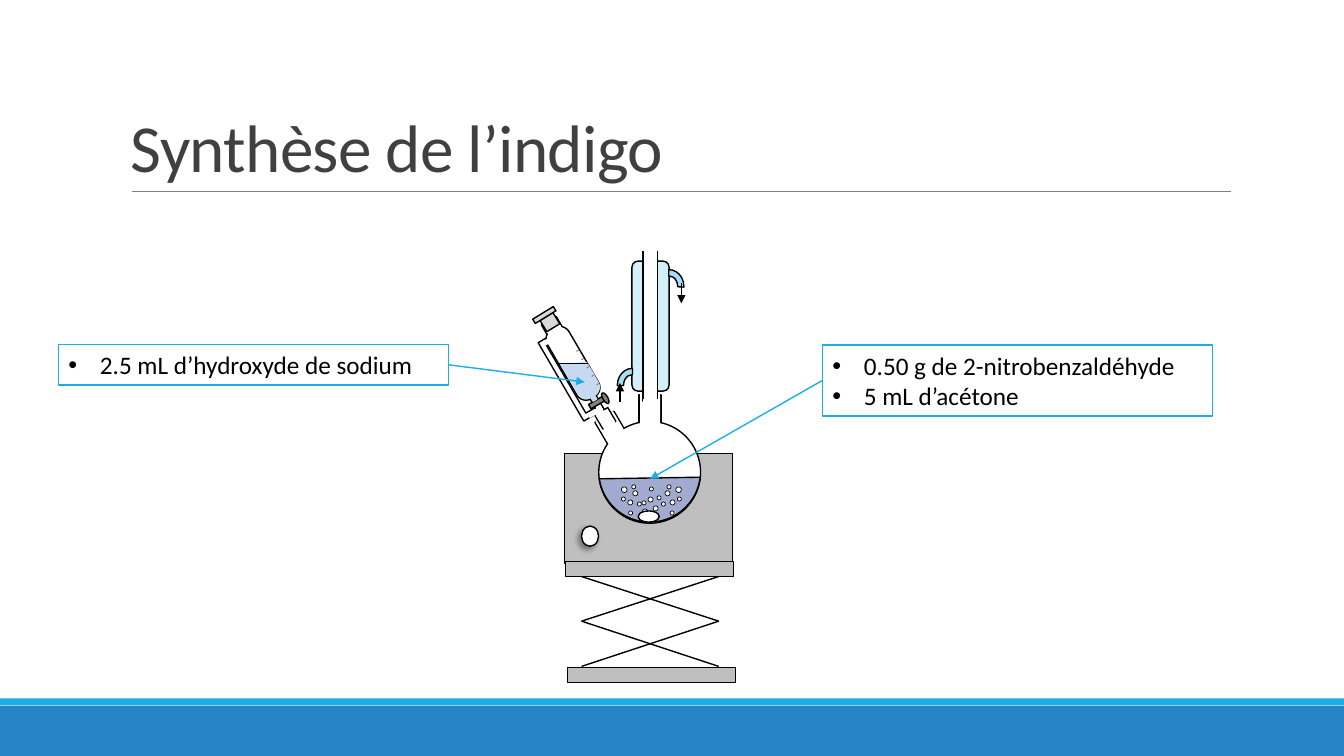
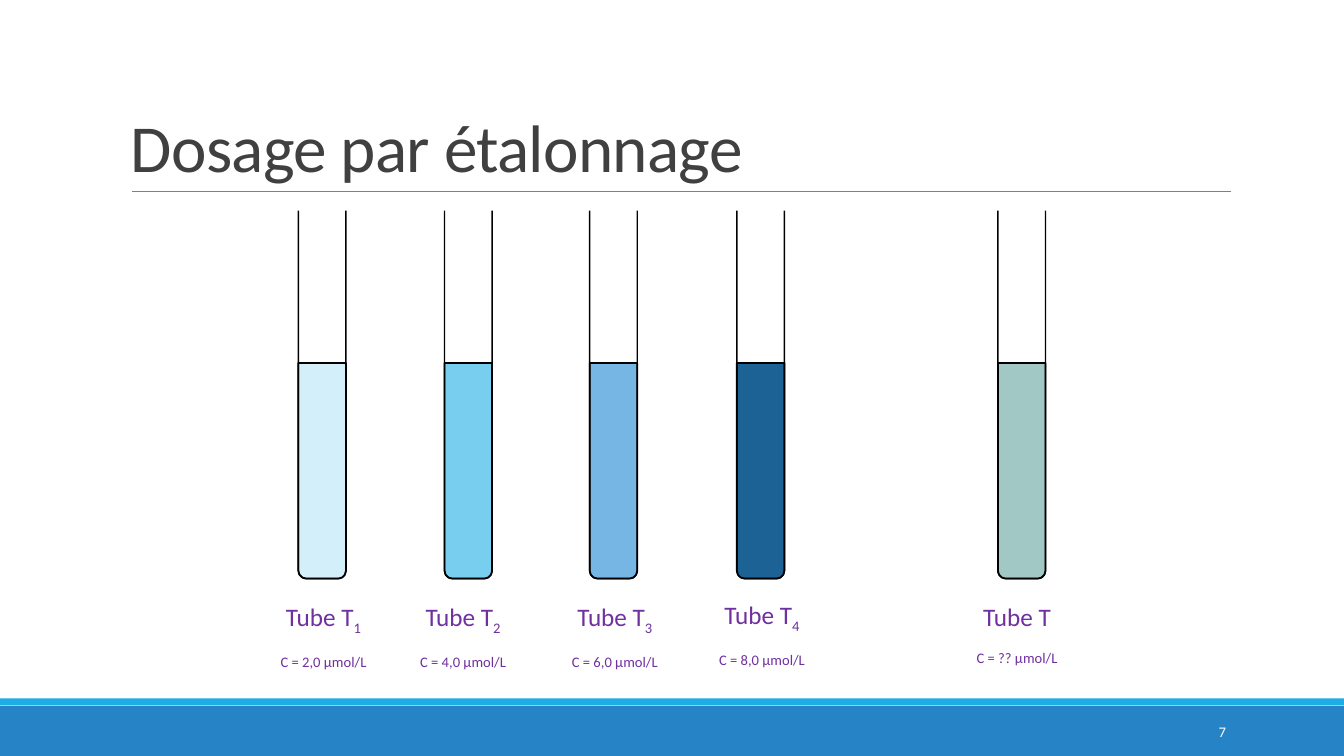
"""Build two chemistry slides: an indigo synthesis set-up and a calibration scale."""
from math import cos, radians, sin

from lxml import etree
from pptx import Presentation
from pptx.dml.color import RGBColor
from pptx.enum.shapes import MSO_CONNECTOR as MC, MSO_SHAPE as MS
from pptx.enum.text import MSO_ANCHOR as MA, PP_ALIGN as PA
from pptx.oxml.ns import qn
from pptx.util import Pt

FONT = "Calibri"
BLUE, CYAN, WHITE, BLACK = "2683C6", "1CADE4", "FFFFFF", "000000"
GREY, MID, LIGHT, TITLE, PURPLE = "808080", "BFBFBF", "D9D9D9", "404040", "7030A0"
WATER, SODA, JACKET, HOSE = "A1ABD0", "C6D9F1", "D2EFFA", "A4DEF4"
TILT, CAP_TILT, NECK_TILT, CROSS = 329.8, 328.5, 329.6, 59.8
RECT, OVAL, ROUND = MS.RECTANGLE, MS.OVAL, MS.ROUNDED_RECTANGLE

# kind, (left, top, width, height), rotation, fill, line width, adjustments
SUPPORT = [
    (RECT, (403.2, 324, 120.2, 78.5), 0, MID, 1, ()),
    (RECT, (403.9, 401, 120.2, 10.8), 0, MID, 1, ()),
    (RECT, (405.4, 476.6, 120.2, 10.8), 0, MID, 1, ()),
]
KNOB = (OVAL, (415.4, 375.8, 12.2, 14.4), 0, WHITE, 1, ())
JACK_X, JACK_Y = (415.4, 513.4), (411.8, 443.7, 476)
FLASK = [
    (RECT, (430.6, 295.9, 15.8, 26.6), NECK_TILT, WHITE, 1, ()),
    (RECT, (456.5, 282.2, 15.8, 26.6), 0, WHITE, 1, ()),
    (OVAL, (427.7, 301, 72.7, 72.7), 0, WHITE, 1, ()),
    (RECT, (432, 295.2, 14.4, 30.2), NECK_TILT, WHITE, 0, ()),
    (RECT, (457.2, 280.8, 14.4, 30.2), 0, WHITE, 0, ()),
    (MS.CHORD, (427.7, 300.2, 72.7, 72.7), 292.7, WATER, 1, (44.474, 143.216)),
]
AXIS = 465.3
PAIRED_BUBBLES = [(20, 355, 2.9), (15.1, 357.1, 3.6), (11.5, 350.6, 3.6), (19.4, 347.8, 4),
                  (12.6, 346.3, 2.9), (8.6, 358.6, 2.9), (14.8, 365, 2.9)]
CENTRE_BUBBLES = [(-5.3, 357.8, 2.9), (-0.6, 355, 3.6), (3, 361.4, 3.6), (-4.5, 363.6, 4),
                  (5.5, 354.2, 2.9), (0, 347.8, 2.9)]
STIRRER = (OVAL, (455.8, 365, 15.1, 7.9), 0, WHITE, 1, ())
FUNNEL = [
    (MS.FRAME, (399.6, 236.2, 16.6, 64.8), TILT, WHITE, 1, (0.25,)),
    (RECT, (388.8, 228.2, 12.2, 11.5), TILT, WHITE, 1, ()),
    (RECT, (424.1, 283, 5, 11.5), TILT, WHITE, 1, ()),
    (ROUND, (400.3, 231.1, 18, 56.9), TILT, WHITE, 1, (0.419,)),
    (RECT, (427, 293, 10.8, 11.5), TILT, WHITE, 1, ()),
    (RECT, (420.5, 285.8, 11.5, 3.6), TILT, GREY, 1, ()),
    (OVAL, (430.6, 280.1, 3.6, 8.6), TILT, GREY, 1, ()),
    (RECT, (425.5, 290.9, 6.5, 9.4), TILT, WHITE, 0, ()),
    (RECT, (431.3, 300.2, 9.4, 9.4), TILT, WHITE, 0, ()),
    (RECT, (419.8, 293, 9.4, 3.6), TILT, WHITE, 0, ()),
    (RECT, (388.1, 241.2, 9.4, 3.6), TILT, WHITE, 0, ()),
    (RECT, (388.8, 227.5, 10.8, 10.1), TILT, WHITE, 0, ()),
    (RECT, (417.6, 279.4, 9.4, 3.6), CROSS, WHITE, 0, ()),
    (ROUND, (409, 260.6, 17.3, 24.5), TILT, SODA, 0, (0.419,)),
    (RECT, (417.6, 280.1, 10.1, 3.6), CROSS, SODA, 0, ()),
    (MS.RIGHT_TRIANGLE, (401, 254.9, 17.3, 8.6), TILT, SODA, 0, ()),
    (RECT, (406.1, 262.1, 17.3, 11.5), TILT, SODA, 0, ()),
]
STOPPER = [
    (RECT, (387.4, 225.4, 10.8, 9.4), CAP_TILT, LIGHT, 1, ()),
    (RECT, (380.2, 223.2, 17.3, 3.6), CAP_TILT, LIGHT, 1, ()),
]
CONDENSER = [
    (ROUND, (451.4, 186.5, 26.6, 92.9), 0, JACKET, 1, ()),
    (RECT, (459.4, 178.6, 10.1, 108), 0, WHITE, 1, ()),
    (RECT, (457.9, 175.7, 13.7, 3.6), 0, WHITE, 0, ()),
    (RECT, (459.4, 285.1, 11.5, 5.8), 0, WHITE, 0, ()),
]
ARC = (108, 163.84, 0.207)
OUTLET = (MS.BLOCK_ARC, (465.8, 193.7, 23.8, 21.6), 90, HOSE, 1, ARC)
INLET = (MS.BLOCK_ARC, (439.9, 264.2, 23.8, 21.6), 270, HOSE, 1, ARC)
FLOWS = [((486.7, 202.3), (486.7, 216.7)), ((442.8, 287.3), (442.8, 273.6))]

# box, joined side, arrow tip, lines
CALLOUTS = [
    ((587.5, 246.2, 278.6, 51.1), 1, (464.4, 342),
     ["0.50 g de 2-nitrobenzaldéhyde", "5 mL d’acétone"]),
    ((41.8, 246.2, 278.6, 28.8), 3, (417.6, 272.9), ["2.5 mL d’hydroxyde de sodium"]),
]

# tube left, fill, index, concentration, label centre, label top
TUBES = [
    (213.1, "D2EFFA", "1", "2,0", 231.1, 426.2),
    (317.5, "77CEEF", "2", "4,0", 330.8, 426.2),
    (421.2, "75B6E5", "3", "6,0", 439.2, 426.2),
    (526.3, "1D6294", "4", "8,0", 544.3, 424.8),
    (712.8, "A1C8C5", "", "??", 726.5, 426.2),
]
TUBE_W, TUBE_TOP, LIQUID_TOP, TUBE_BOTTOM, CORNER = 34, 150.5, 259.2, 413.3, 5.7
LABEL_W = 97


def rgb(color):
    return RGBColor.from_string(color)


def pts(values):
    return [Pt(v) for v in values]


def add_part(slide, kind, box, rot=0, fill=None, width=0, adj=(), line=BLACK):
    s = slide.shapes.add_shape(kind, *pts(box))
    s.shadow.inherit = False
    s.rotation = rot
    for i, value in enumerate(adj):
        s.adjustments[i] = value
    s.fill.solid()
    s.fill.fore_color.rgb = rgb(fill)
    set_line(s, line, width)
    return s


def set_line(s, color, width):
    if width:
        s.line.color.rgb = rgb(color)
        s.line.width = Pt(width)
    else:
        s.line.fill.background()


def add_parts(slide, parts):
    for part in parts:
        add_part(slide, *part)


def add_line(slide, start, end, color=BLACK, width=1, arrow=False):
    c = slide.shapes.add_connector(MC.STRAIGHT, *pts(start + end))
    set_line(c, color, width)
    if arrow:
        etree.SubElement(c.line._get_or_add_ln(), qn("a:tailEnd"), type="triangle")
    etree.SubElement(c._element.spPr, qn("a:effectLst"))
    return c


def add_text(slide, box, anchor=MA.TOP):
    tf = slide.shapes.add_textbox(*pts(box)).text_frame
    tf.word_wrap = True
    tf.vertical_anchor = anchor
    return tf


def add_run(p, text, size, color):
    r = p.add_run()
    r.text = text
    r.font.name, r.font.size = FONT, Pt(size)
    r.font.color.rgb = rgb(color)
    return r


def add_subscript(p, text):
    add_run(p, text, 18, PURPLE)._r.get_or_add_rPr().set("baseline", "-25000")


def add_slide(prs, title):
    slide = prs.slides.add_slide(prs.slide_layouts[6])
    add_part(slide, RECT, (0, 504, 960, 36), fill=BLUE)
    add_part(slide, RECT, (0, 498.8, 960, 5), fill=CYAN)
    add_line(slide, (94.3, 136.8), (879.1, 136.8), GREY, 0.5)
    p = add_text(slide, (86.4, 22.3, 792, 114.5), MA.BOTTOM).paragraphs[0]
    p.line_spacing = 0.85
    add_run(p, title, 48, TITLE)._r.get_or_add_rPr().set("spc", "-50")
    return slide


def add_knob(slide):
    s = add_part(slide, *KNOB)
    effects = s._element.spPr.find(qn("a:effectLst"))
    shadow = etree.SubElement(effects, qn("a:outerShdw"), blurRad=str(Pt(4)),
                              dist=str(Pt(3)), dir=str(135 * 60000))
    color = etree.SubElement(shadow, qn("a:srgbClr"), val=BLACK)
    etree.SubElement(color, qn("a:alpha"), val="40000")


def add_jack(slide):
    left, right = JACK_X
    for top, bottom in zip(JACK_Y, JACK_Y[1:]):
        add_line(slide, (left, top), (right, bottom))
        add_line(slide, (right, top), (left, bottom))


def add_bubbles(slide):
    mirrored = [(side * dx, y, d) for dx, y, d in PAIRED_BUBBLES for side in (1, -1)]
    for dx, y, d in mirrored + CENTRE_BUBBLES:
        add_part(slide, OVAL, (AXIS + dx - d / 2, y, d, d), fill=WHITE, width=0.5)


def add_graduations(slide):
    for i in range(5):
        x, y = 411.8 + 3.6 * i, 251 + 6 * i
        add_line(slide, (x, y), (x + 1.6, y - 1.2), GREY, 0.75)
    add_line(slide, (399.6, 259.9), (419.8, 259.9), width=0.75)


def add_callout(slide, box, side, tip, lines):
    s = add_part(slide, RECT, box, fill=WHITE, width=1.25, line=CYAN)
    tf = s.text_frame
    tf.word_wrap = True
    for i, text in enumerate(lines):
        p = tf.add_paragraph() if i else tf.paragraphs[0]
        p.alignment = PA.LEFT
        pPr = p._p.get_or_add_pPr()
        pPr.set("marL", str(Pt(22.5)))
        pPr.set("indent", str(-Pt(22.5)))
        etree.SubElement(pPr, qn("a:buFont"), typeface="Arial")
        etree.SubElement(pPr, qn("a:buChar"), char="•")
        add_run(p, text, 18, BLACK)
    return s, side, tip


def add_tube(slide, left, fill, index, level, centre, label_top):
    add_part(slide, MS.ROUND_2_SAME_RECTANGLE,
             (left, LIQUID_TOP, TUBE_W, TUBE_BOTTOM - LIQUID_TOP), 180, fill, 1.25)
    right, y = left + TUBE_W, TUBE_BOTTOM - CORNER
    glass = [(cx + CORNER * cos(radians(a)), y + CORNER * sin(radians(a)))
             for cx, first in ((left + CORNER, 180), (right - CORNER, 90))
             for a in range(first, first - 91, -15)]
    outline = slide.shapes.build_freeform(Pt(left), Pt(TUBE_TOP))
    outline.add_line_segments([pts(pt) for pt in glass + [(right, TUBE_TOP)]], close=False)
    s = outline.convert_to_shape()
    s.shadow.inherit = False
    s.fill.background()
    set_line(s, BLACK, 1)

    tf = add_text(slide, (centre - LABEL_W / 2, label_top, LABEL_W, 44))
    name, conc = tf.paragraphs[0], tf.add_paragraph()
    name.alignment = conc.alignment = PA.CENTER
    add_run(name, "Tube T", 18, PURPLE)
    if index:
        add_subscript(name, index)
    add_subscript(conc, f"C = {level} µmol/L")


def build_synthesis(prs):
    slide = add_slide(prs, "Synthèse de l’indigo")
    add_parts(slide, SUPPORT)
    add_knob(slide)
    add_jack(slide)
    add_parts(slide, FLASK)
    add_bubbles(slide)
    add_parts(slide, [STIRRER] + FUNNEL)
    add_graduations(slide)
    add_parts(slide, STOPPER + CONDENSER + [OUTLET])
    add_part(slide, *INLET)._element.spPr.xfrm.set("flipH", "1")
    for start, end in FLOWS:
        add_line(slide, start, end, arrow=True)
    for s, side, tip in [add_callout(slide, *callout) for callout in CALLOUTS]:
        add_line(slide, tip, tip, CYAN, 1, arrow=True).begin_connect(s, side)


def build_calibration(prs):
    slide = add_slide(prs, "Dosage par étalonnage")
    p = add_text(slide, (779.8, 508.3, 103, 28.8), MA.MIDDLE).paragraphs[0]
    p.alignment = PA.RIGHT
    add_run(p, "7", 10.5, WHITE)
    for tube in TUBES:
        add_tube(slide, *tube)


def main():
    prs = Presentation()
    prs.slide_width, prs.slide_height = Pt(960), Pt(540)
    build_synthesis(prs)
    build_calibration(prs)
    prs.save("out.pptx")


if __name__ == "__main__":
    main()
